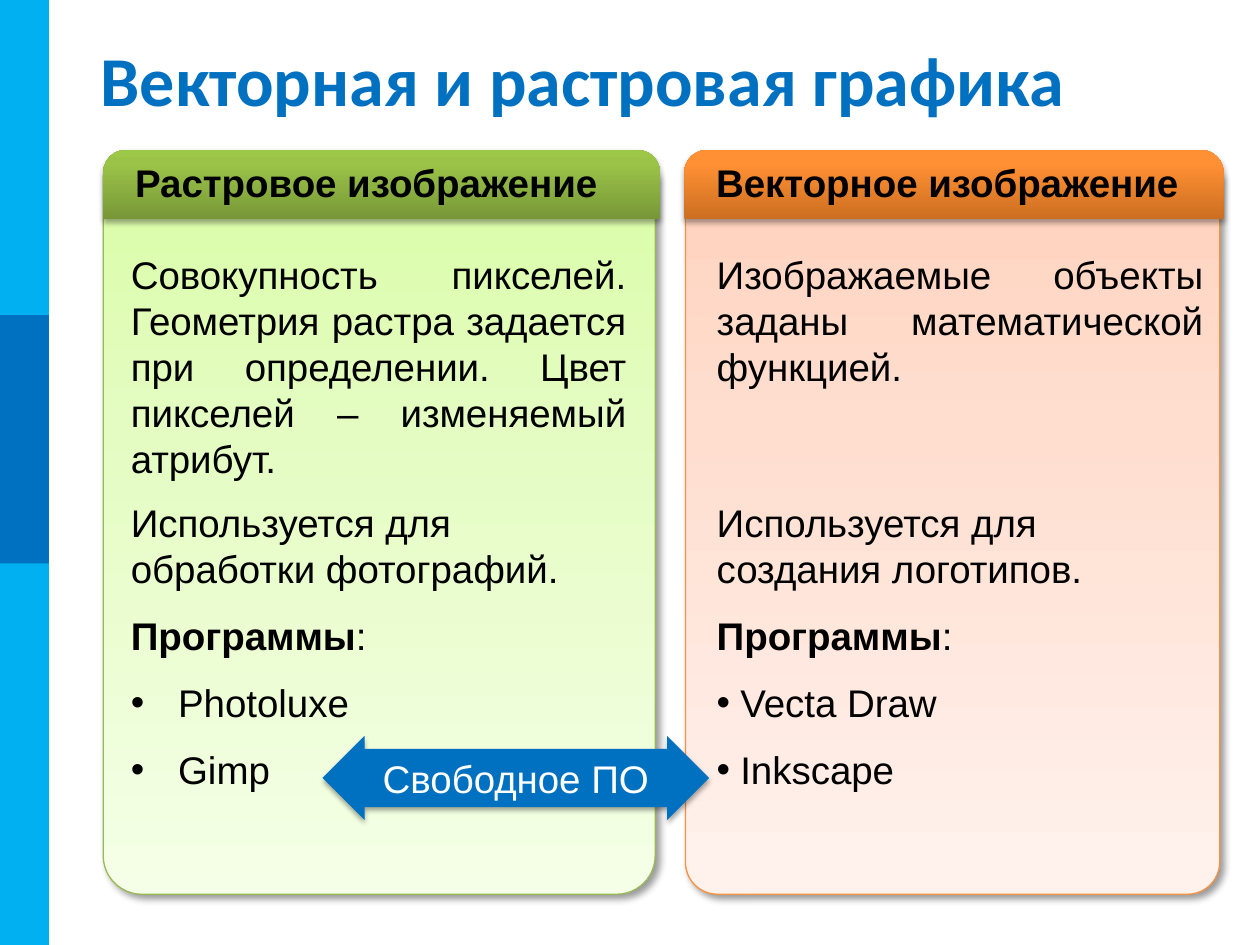
from lxml.etree import SubElement
from pptx import Presentation
from pptx.dml.color import RGBColor
from pptx.enum.shapes import MSO_SHAPE as Shape
from pptx.enum.text import MSO_ANCHOR as Anchor, PP_ALIGN as Align
from pptx.oxml.ns import qn
from pptx.util import Pt

TITLE = "Векторная и растровая графика"
PROGRAMS = "Программы"
ARROW_LABEL = "Свободное ПО"
BLUE, SKY, BLACK, WHITE = "0070C0", "00B0F0", "000000", "FFFFFF"

COLUMNS = [
    {
        "heading": "Векторное изображение",
        "summary": "Изображаемые объекты заданы математической функцией.",
        "usage": "Используется для создания логотипов.",
        "programs": ["Vecta Draw", "Inkscape"],
        "indent": 13.5,
        "panel": (391.7, 305.3), "header": (391, 308.2), "text": (402.5, 292.3),
        "corner": 0.06, "border": "F69240",
        "panel_stops": [(0, "FFD2BD"), (35, "FFDED0"), (100, "FFF2ED")],
        "header_stops": [(0, "CC6E20"), (80, "FF9034"), (100, "FF9136")],
    },
    {
        "heading": "Растровое изображение",
        "summary": "Совокупность пикселей. Геометрия растра задается при определении. "
                   "Цвет пикселей – изменяемый атрибут.",
        "usage": "Используется для обработки фотографий.",
        "programs": ["Photoluxe", "Gimp"],
        "indent": 27,
        "panel": (59, 315.4), "header": (59, 318.2), "text": (67.7, 297.4),
        "corner": 0.07, "border": "98B955",
        "panel_stops": [(0, "DAFDA7"), (35, "E4FCC2"), (100, "F5FFE7")],
        "header_stops": [(0, "779737"), (80, "9BC348"), (100, "9DC746")],
    },
]
PANEL_SHADOW = {"blur": 4, "distance": 3, "angle": 45, "alpha": 40}
RAISED_SHADOW = {"blur": 3.1, "distance": 1.8, "angle": 90, "alpha": 35}


def color(value):
    return RGBColor.from_string(value)


def child(parent, tag, **attributes):
    return SubElement(parent, qn(tag), {key: str(value) for key, value in attributes.items()})


def add_block(page, kind, area, fill=None, line=None, adjust=()):
    block = page.shapes.add_shape(kind, *map(Pt, area))
    block.shadow.inherit = False
    for index, value in enumerate(adjust):
        block.adjustments[index] = value
    if fill:
        block.fill.solid()
        block.fill.fore_color.rgb = color(fill)
    if line:
        block.line.color.rgb = color(line)
        block.line.width = Pt(0.75)
    else:
        block.line.fill.background()
    return block


def set_gradient(block, stops, angle):
    block.fill.gradient()
    gradient = block.element.spPr.find(qn("a:gradFill"))
    for item in list(gradient):
        gradient.remove(item)
    stop_list = child(gradient, "a:gsLst")
    for position, value in stops:
        stop = child(stop_list, "a:gs", pos=position * 1000)
        child(stop, "a:srgbClr", val=value)
    child(gradient, "a:lin", ang=angle * 60000, scaled=0)


def set_shadow(block, blur, distance, angle, alpha):
    effects = block.element.spPr.find(qn("a:effectLst"))
    shadow = child(effects, "a:outerShdw", blurRad=Pt(blur), dist=Pt(distance),
                   dir=angle * 60000, algn="tl", rotWithShape=0)
    tint = child(shadow, "a:srgbClr", val=BLACK)
    child(tint, "a:alpha", val=alpha * 1000)


def set_frame(frame, **formats):
    for name, value in formats.items():
        setattr(frame, name, value)


def write(para, spans, align=Align.LEFT, before=0, size=22, font="Arial", ink=BLACK):
    para.alignment = align
    para.space_before = Pt(before)
    for text, bold in spans:
        span = para.add_run()
        span.text = text
        for name, value in {"size": Pt(size), "name": font, "bold": bold}.items():
            setattr(span.font, name, value)
        span.font.color.rgb = color(ink)


def set_bullet(para, indent):
    properties = para._p.get_or_add_pPr()
    properties.set("marL", str(Pt(indent)))
    properties.set("indent", str(-Pt(indent)))
    child(properties, "a:buFont", typeface="Arial")
    child(properties, "a:buChar", char="•")


def add_text(page, area):
    frame = page.shapes.add_textbox(*map(Pt, area)).text_frame
    frame.word_wrap = True
    return frame


def add_column(page, column):
    left, width = column["panel"]
    panel = add_block(page, Shape.ROUND_2_SAME_RECTANGLE, (left, 100, width, 411),
                      line=column["border"], adjust=(0, column["corner"]))
    set_gradient(panel, column["panel_stops"], 90)
    set_shadow(panel, **PANEL_SHADOW)

    left, width = column["header"]
    header = add_block(page, Shape.ROUND_2_SAME_RECTANGLE, (left, 85.7, width, 39.6),
                       adjust=(0.33, 0))
    set_gradient(header, column["header_stops"], 270)
    set_shadow(header, **RAISED_SHADOW)
    set_frame(header.text_frame, margin_left=Pt(14.4), margin_top=Pt(2.9),
              margin_right=Pt(6.5), margin_bottom=Pt(6.5), vertical_anchor=Anchor.MIDDLE)
    heading = header.text_frame.paragraphs[0]
    heading.line_spacing = 0.9
    write(heading, [(column["heading"], True)])


def add_column_text(page, column):
    left, width = column["text"]
    summary = add_text(page, (left, 139.7, width, 167 if column["indent"] > 20 else 114))
    write(summary.paragraphs[0], [(column["summary"], False)], Align.JUSTIFY)

    details = add_text(page, (left, 281.5, width, 177))
    write(details.paragraphs[0], [(column["usage"], False)])
    write(details.add_paragraph(), [(PROGRAMS, True), (":", False)], Align.JUSTIFY, 12)
    for program in column["programs"]:
        para = details.add_paragraph()
        para.space_before = Pt(12)
        set_bullet(para, column["indent"])
        write(para, [(program, False)], Align.JUSTIFY, 12)


def main():
    deck = Presentation()
    deck.slide_width, deck.slide_height = Pt(720), Pt(540)
    page = deck.slides.add_slide(deck.slide_layouts[5])

    add_block(page, Shape.RECTANGLE, (0, 0, 28, 540), SKY)
    add_block(page, Shape.RECTANGLE, (0, 180, 28, 142), BLUE)

    title = page.shapes.title
    title.left, title.top, title.width, title.height = map(Pt, (50.4, 21.6, 649.4, 46))
    set_frame(title.text_frame, vertical_anchor=Anchor.MIDDLE, word_wrap=True)
    write(title.text_frame.paragraphs[0], [(TITLE, True)], size=40, font="Calibri", ink=BLUE)

    for column in COLUMNS:
        add_column(page, column)
    for column in COLUMNS:
        add_column_text(page, column)

    arrow = add_block(page, Shape.LEFT_RIGHT_ARROW, (184.3, 420.5, 221, 48.2), BLUE,
                      adjust=(0.69, 0.5))
    set_shadow(arrow, **RAISED_SHADOW)
    arrow.text_frame.vertical_anchor = Anchor.MIDDLE
    write(arrow.text_frame.paragraphs[0], [(ARROW_LABEL, False)], Align.CENTER, ink=WHITE)

    deck.save("out.pptx")


if __name__ == "__main__":
    main()
